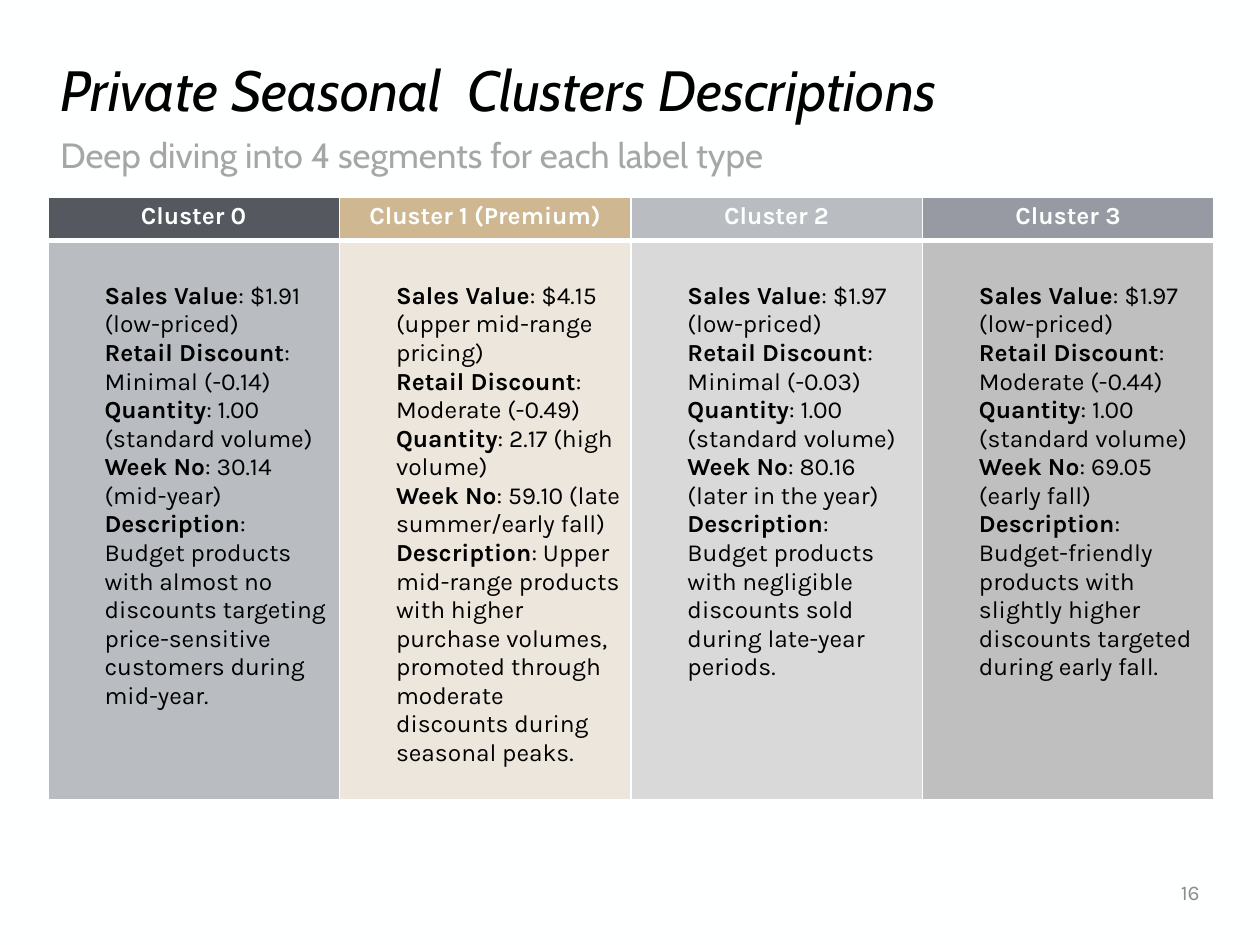
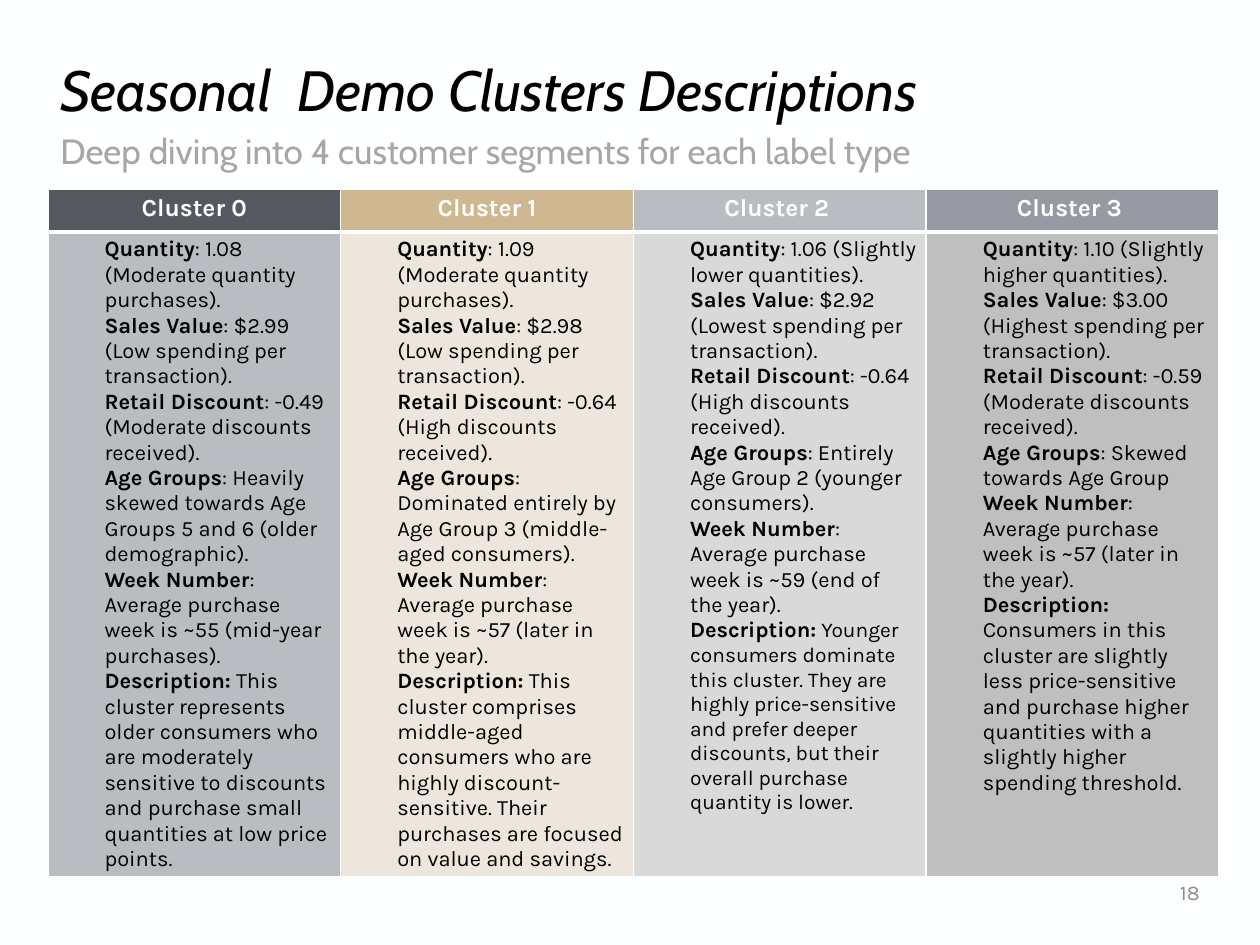
from lxml.etree import SubElement
from pptx import Presentation
from pptx.dml.color import RGBColor
from pptx.enum.text import MSO_ANCHOR, MSO_AUTO_SIZE, PP_ALIGN
from pptx.oxml.ns import qn
from pptx.util import Inches, Pt

SLIDE_WIDTH, SLIDE_HEIGHT = Inches(10), Inches(7.5)
PAPER, INK, SUBTITLE_GREY, NUMBER_GREY = "FEFFFF", "000000", "A6A6A6", "8C8C8C"
HEADING_FONT, BODY_FONT = "Cabin", "Karla"
HEADER_FILLS = ["55585F", "CFB891", "B9BCC1", "979AA2"]
BODY_FILLS = ["B9BCC1", "EDE6DC", "D9D9D9", "BFBFBF"]
LEFT, CONTENT_WIDTH = 3.8, 92.5
HEADER_HEIGHT = 4.55
FACT_INDENT = 0.38

PRIVATE_SEASONAL = {
    "title": "Private Seasonal  Clusters Descriptions",
    "subtitle": "Deep diving into 4 segments for each label type",
    "number": "16",
    "subtitle_top": 13.95,
    "table_top": 20.88,
    "table_width": 92.55,
    "body_height": 59.2,
    "body_margin": 0.33,
    "size": 14,
    "labels": ["Sales Value", "Retail Discount", "Quantity", "Week No", "Description"],
    "clusters": {
        "Cluster 0": [
            "$1.91 (low-priced)", "Minimal (-0.14)", "1.00 (standard volume)", "30.14 (mid-year)",
            "Budget products with almost no discounts targeting price-sensitive customers "
            "during mid-year."],
        "Cluster 1 (Premium)": [
            "$4.15 (upper mid-range pricing)", "Moderate (-0.49)", "2.17 (high volume)",
            "59.10 (late summer/early fall)",
            "Upper mid-range products with higher purchase volumes, promoted through moderate "
            "discounts during seasonal peaks."],
        "Cluster 2": [
            "$1.97 (low-priced)", "Minimal (-0.03)", "1.00 (standard volume)",
            "80.16 (later in the year)",
            "Budget products with negligible discounts sold during late-year periods."],
        "Cluster 3": [
            "$1.97 (low-priced)", "Moderate (-0.44)", "1.00 (standard volume)",
            "69.05 (early fall)",
            "Budget-friendly products with slightly higher discounts targeted during early fall."],
    },
    "small_descriptions": {},
}

SEASONAL_DEMO = {
    "title": "Seasonal  Demo Clusters Descriptions",
    "subtitle": "Deep diving into 4 customer segments for each label type",
    "number": "18",
    "subtitle_top": 13.55,
    "table_top": 20,
    "table_width": 92.95,
    "body_height": 68,
    "body_margin": 0.04,
    "size": 12.5,
    "labels": ["Quantity", "Sales Value", "Retail Discount", "Age Groups", "Week Number",
               "Description:"],
    "clusters": {
        "Cluster 0": [
            "1.08 (Moderate quantity purchases).", "$2.99 (Low spending per transaction).",
            "-0.49 (Moderate discounts received).",
            "Heavily skewed towards Age Groups 5 and 6 (older demographic).",
            "Average purchase week is ~55 (mid-year purchases).",
            "This cluster represents older consumers who are moderately sensitive to discounts "
            "and purchase small quantities at low price points."],
        "Cluster 1": [
            "1.09 (Moderate quantity purchases).", "$2.98 (Low spending per transaction).",
            "-0.64 (High discounts received).",
            "Dominated entirely by Age Group 3 (middle-aged consumers).",
            "Average purchase week is ~57 (later in the year).",
            "This cluster comprises middle-aged consumers who are highly discount-sensitive. "
            "Their purchases are focused on value and savings."],
        "Cluster 2 ": [
            "1.06 (Slightly lower quantities).", "$2.92 (Lowest spending per transaction).",
            "-0.64 (High discounts received).",
            "Entirely Age Group 2 (younger consumers).",
            "Average purchase week is ~59 (end of the year).",
            "Younger consumers dominate this cluster. They are highly price-sensitive and prefer "
            "deeper discounts, but their overall purchase quantity is lower."],
        "Cluster 3 ": [
            "1.10 (Slightly higher quantities).", "$3.00 (Highest spending per transaction).",
            "-0.59 (Moderate discounts received).",
            "Skewed towards Age Group",
            "Average purchase week is ~57 (later in the year).",
            "Consumers in this cluster are slightly less price-sensitive and purchase higher "
            "quantities with a slightly higher spending threshold."],
    },
    "small_descriptions": {"Cluster 2 ": 12},
}


def across(percent):
    """Return a share of the slide's width."""
    return round(SLIDE_WIDTH * percent / 100)


def down(percent):
    """Return a share of the slide's height."""
    return round(SLIDE_HEIGHT * percent / 100)


def color(hex_code):
    """Turn a hex string into a colour."""
    return RGBColor.from_string(hex_code)


def style(paragraph, font_name, size, hex_code, align=PP_ALIGN.LEFT):
    """Format a whole paragraph and return its font."""
    paragraph.alignment = align
    font = paragraph.font
    font.name, font.size = font_name, Pt(size)
    font.color.rgb = color(hex_code)
    return font


def add_title(slide, text):
    """Place the slide title in its placeholder."""
    title = slide.shapes.title
    title.left, title.top = across(LEFT), down(5.6)
    title.width, title.height = across(CONTENT_WIDTH), down(8.53)
    frame = title.text_frame
    frame.text = text
    frame.auto_size = MSO_AUTO_SIZE.NONE
    frame.vertical_anchor = MSO_ANCHOR.MIDDLE
    heading = frame.paragraphs[0]
    heading.line_spacing = 0.9
    style(heading, HEADING_FONT, 32.4, INK).italic = True


def add_label(slide, text, left, top, width, anchor):
    """Add a one-line text box and return its paragraph."""
    box = slide.shapes.add_textbox(across(left), down(top), across(width), down(5.33))
    frame = box.text_frame
    frame.word_wrap = True
    frame.vertical_anchor = anchor
    frame.text = text
    return frame.paragraphs[0]


def add_borders(cell, **widths):
    """Draw the cell's edges in the paper colour."""
    properties = cell._tc.get_or_add_tcPr()
    for edge in "LRTB":
        line = SubElement(properties, qn(f"a:ln{edge}"), w=str(Pt(widths.get(edge, 1))))
        SubElement(SubElement(line, qn("a:solidFill")), qn("a:srgbClr"), val=PAPER)


def prepare_cell(cell, fill, **border_widths):
    """Give a cell its margins, edges and fill."""
    cell.margin_left = cell.margin_right = Inches(0.07)
    cell.margin_top = cell.margin_bottom = Inches(0.04)
    add_borders(cell, **border_widths)
    cell.fill.solid()
    cell.fill.fore_color.rgb = color(fill)


def add_fact(paragraph, label, value, size, value_size):
    """Write an indented fact with a bold label."""
    properties = paragraph._p.get_or_add_pPr()
    properties.set("marL", str(Inches(FACT_INDENT)))
    properties.set("indent", "0")
    style(paragraph, BODY_FONT, size, INK)
    separator = " " if label.endswith(":") else ": "
    for text, bold in ((label, True), (separator + value, False)):
        run = paragraph.add_run()
        run.text, run.font.bold = text, bold
    run.font.size = Pt(value_size)


def add_cluster_table(slide, content):
    """Add the table with one column for each cluster."""
    clusters = content["clusters"]
    table = slide.shapes.add_table(
        2, len(clusters), across(LEFT), down(content["table_top"]),
        across(content["table_width"]), down(HEADER_HEIGHT + content["body_height"])).table
    table.horz_banding = False
    table.rows[0].height = down(HEADER_HEIGHT)
    table.rows[1].height = down(content["body_height"])
    for column, (name, values) in enumerate(clusters.items()):
        header, body = table.cell(0, column), table.cell(1, column)
        prepare_cell(header, HEADER_FILLS[column], B=3)
        header.text = name
        style(header.text_frame.paragraphs[0], BODY_FONT, 14, PAPER, PP_ALIGN.CENTER).bold = True
        prepare_cell(body, BODY_FILLS[column], T=3)
        body.margin_top = Inches(content["body_margin"])
        size = content["size"]
        for row, (label, value) in enumerate(zip(content["labels"], values)):
            frame = body.text_frame
            fact = frame.add_paragraph() if row else frame.paragraphs[0]
            is_description = label.startswith("Description")
            value_size = content["small_descriptions"].get(name, size) if is_description else size
            add_fact(fact, label, value, size, value_size)


def add_cluster_slide(deck, content):
    """Build one slide of cluster descriptions."""
    slide = deck.slides.add_slide(deck.slide_layouts[5])
    slide.background.fill.solid()
    slide.background.fill.fore_color.rgb = color(PAPER)
    add_cluster_table(slide, content)
    add_title(slide, content["title"])
    subtitle = add_label(slide, content["subtitle"], LEFT, content["subtitle_top"],
                         CONTENT_WIDTH, MSO_ANCHOR.TOP)
    subtitle.line_spacing = 0.9
    style(subtitle, HEADING_FONT, 20, SUBTITLE_GREY)
    number = add_label(slide, content["number"], 84.2, 91.73, 12, MSO_ANCHOR.MIDDLE)
    style(number, BODY_FONT, 12, NUMBER_GREY, PP_ALIGN.RIGHT)


def main():
    """Build the deck and save it."""
    deck = Presentation()
    deck.slide_width, deck.slide_height = SLIDE_WIDTH, SLIDE_HEIGHT
    for content in (PRIVATE_SEASONAL, SEASONAL_DEMO):
        add_cluster_slide(deck, content)
    deck.save("out.pptx")


if __name__ == "__main__":
    main()
